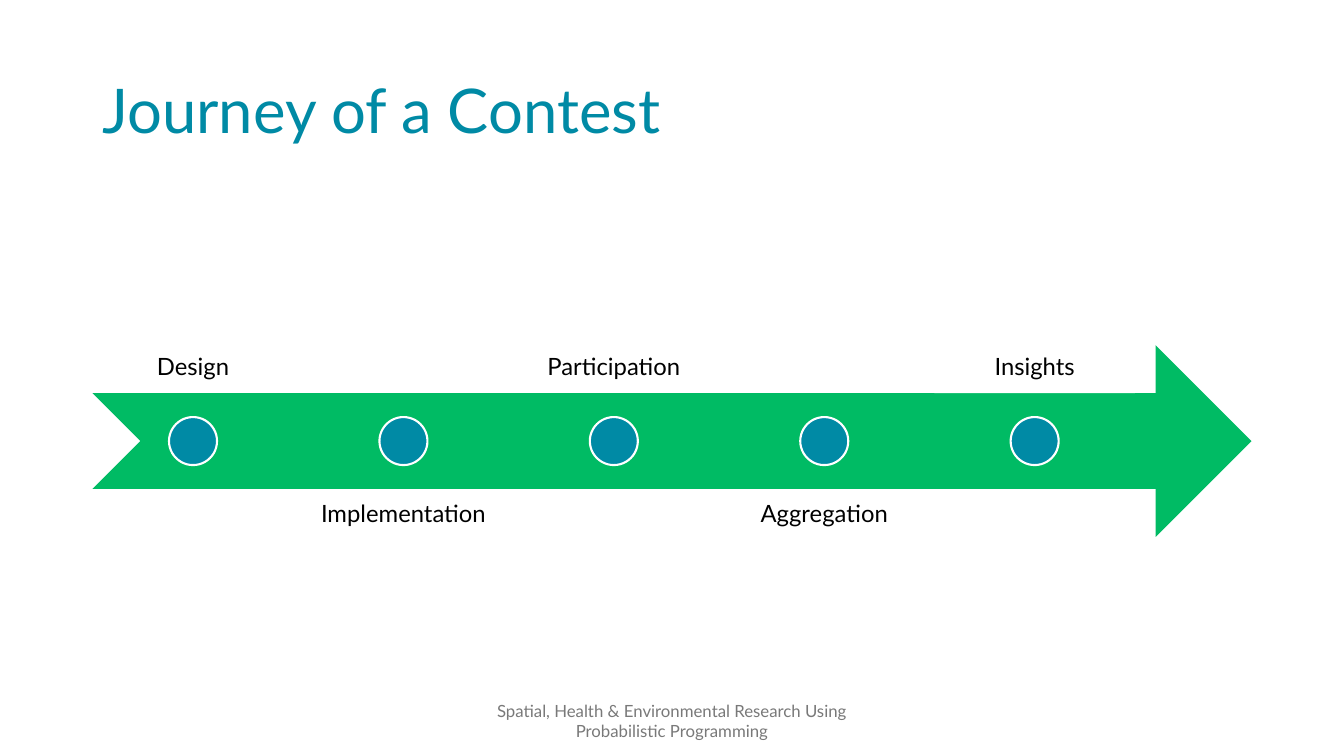
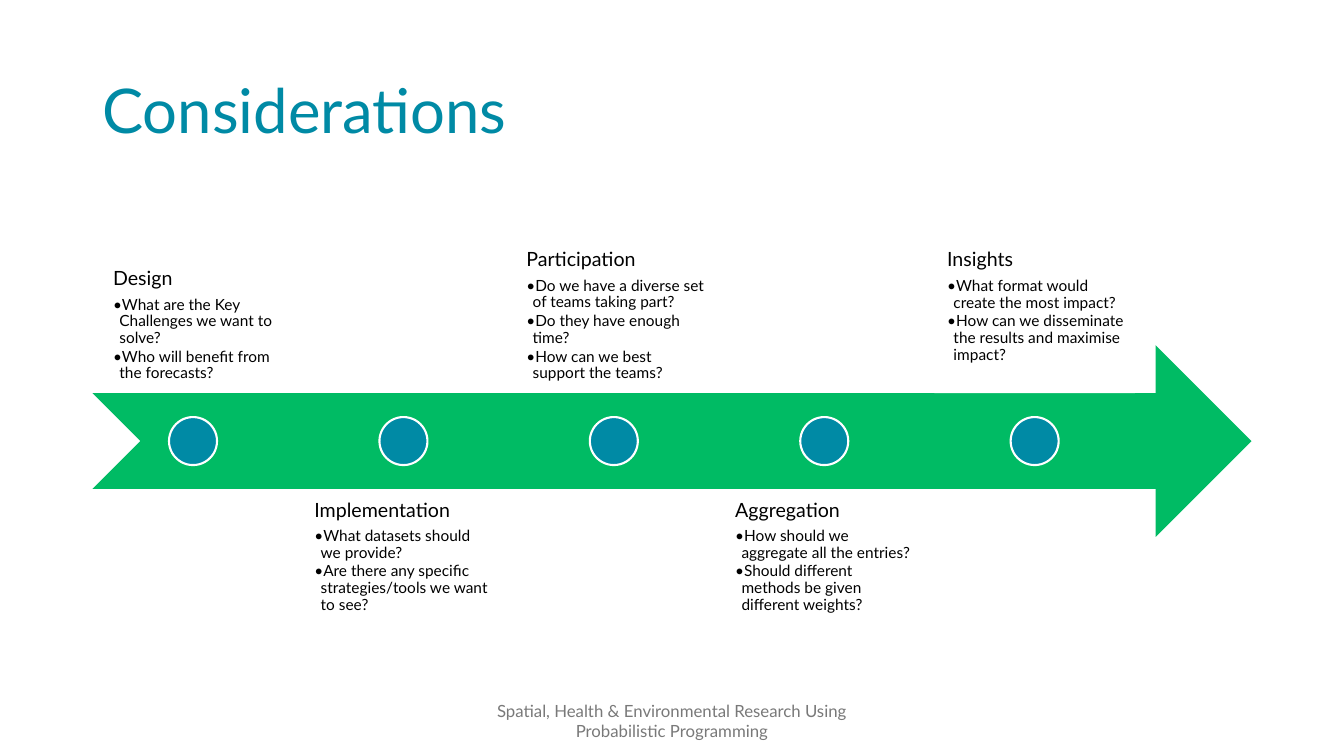
"""Build two timeline slides about the stages of a forecasting contest."""
from dataclasses import dataclass

from lxml.etree import SubElement
from pptx import Presentation
from pptx.dml.color import RGBColor
from pptx.enum.shapes import MSO_SHAPE as SHAPE
from pptx.enum.text import MSO_ANCHOR as ANCHOR, PP_ALIGN as ALIGN
from pptx.oxml.ns import qn
from pptx.shapes.autoshape import Shape
from pptx.slide import Slide
from pptx.text.text import TextFrame
from pptx.util import Cm, Pt

COLORS = {"teal": "008AA5", "green": "00BB64", "white": "FFFFFF",
          "black": "000000", "grey": "797979"}
FONT = "Lato"
FOOTER = "Spatial, Health & Environmental Research Using Probabilistic Programming"

LEFT, WIDTH = 2.33, 29.21
ARROW_TOP, ARROW_H = 8.7, 4.83
MIDDLE = ARROW_TOP + ARROW_H / 2
LABEL_LEFT, LABEL_W, LABEL_H = 2.34, 5.05, 4.83
PITCH = LABEL_W * 1.05
DOT = 1.21


@dataclass(frozen=True)
class Stage:
    name: str
    questions: tuple[str, ...] = ()
    shift: float = 0
    lift: float = 0
    panel: bool = False


@dataclass(frozen=True)
class LabelStyle:
    size: int
    inset: float
    align: ALIGN


@dataclass(frozen=True)
class Timeline:
    title: str
    style: LabelStyle
    stages: tuple[Stage, ...]


TIMELINES = (
    Timeline("Journey of a Contest", LabelStyle(17, 0.34, ALIGN.CENTER), (
        Stage("Design"), Stage("Implementation"), Stage("Participation"),
        Stage("Aggregation"), Stage("Insights", panel=True))),
    Timeline("Considerations", LabelStyle(14, 0.28, ALIGN.LEFT), (
        Stage("Design", ("What are the Key Challenges we want to solve?",
                         "Who will benefit from the forecasts?"), shift=0.23),
        Stage("Implementation", ("What datasets should we provide?",
                                 "Are there any specific strategies/tools we want to see?")),
        Stage("Participation", ("Do we have a diverse set of teams taking part?",
                                "Do they have enough time?",
                                "How can we best support the teams?"), shift=0.04),
        Stage("Aggregation", ("How should we aggregate all the entries?",
                              "Should different methods be given different weights?")),
        Stage("Insights", ("What format would create the most impact?",
                           "How can we disseminate the results and maximise impact?"),
              shift=0.04, lift=0.47, panel=True))),
)


def rgb(name: str) -> RGBColor:
    return RGBColor.from_string(COLORS[name])


def add_text_frame(s: Slide, x: float, y: float, w: float, h: float,
                   anchor: ANCHOR) -> TextFrame:
    tf = s.shapes.add_textbox(Cm(x), Cm(y), Cm(w), Cm(h)).text_frame
    tf.word_wrap = True
    tf.vertical_anchor = anchor
    return tf


def write(tf: TextFrame, text: str, size: int, color: str, align: ALIGN = ALIGN.LEFT,
          spacing: float = 0.9, after: float = 0, bullet: bool = False) -> None:
    p = tf.add_paragraph() if tf.text else tf.paragraphs[0]
    p.text = text
    p.alignment = align
    p.line_spacing = spacing
    p.space_after = Pt(after)
    for r in p.runs:
        r.font.name = FONT
        r.font.size = Pt(size)
        r.font.color.rgb = rgb(color)
    if bullet:
        p.level = 1
        props = p._p.get_or_add_pPr()
        props.set("marL", str(Cm(0.16)))
        props.set("indent", str(Cm(-0.16)))
        SubElement(props, qn("a:buFont"), typeface=FONT)
        SubElement(props, qn("a:buChar"), char="•")


def add_figure(s: Slide, kind: SHAPE, x: float, y: float, w: float, h: float,
               fill: str) -> Shape:
    sp = s.shapes.add_shape(kind, Cm(x), Cm(y), Cm(w), Cm(h))
    sp.shadow.inherit = False
    sp.fill.solid()
    sp.fill.fore_color.rgb = rgb(fill)
    sp.line.fill.background()
    return sp


def add_label(s: Slide, stage: Stage, style: LabelStyle, x: float, above: bool) -> None:
    gap = ARROW_H / 4
    y = MIDDLE - gap - LABEL_H if above else MIDDLE + gap
    if stage.panel:
        add_figure(s, SHAPE.RECTANGLE, x, y, LABEL_W, LABEL_H, "white")
    tf = add_text_frame(s, x, y, LABEL_W, LABEL_H, ANCHOR.BOTTOM if above else ANCHOR.TOP)
    tf.margin_top = Cm(style.inset)
    tf.margin_left = Cm(style.inset + stage.shift)
    tf.margin_right = Cm(style.inset - stage.shift)
    tf.margin_bottom = Cm(style.inset + stage.lift)
    write(tf, stage.name, style.size, "black", style.align, after=5)
    for question in stage.questions:
        write(tf, question, 11, "black", after=1.5, bullet=True)


def add_dot(s: Slide, center: float) -> None:
    sp = add_figure(s, SHAPE.OVAL, center - DOT / 2, MIDDLE - DOT / 2, DOT, DOT, "teal")
    sp.line.color.rgb = rgb("white")
    sp.line.width = Pt(1.5)


def add_timeline(s: Slide, timeline: Timeline) -> None:
    title = add_text_frame(s, LEFT, 1.01, WIDTH, 3.68, ANCHOR.MIDDLE)
    write(title, timeline.title, 44, "teal")
    add_figure(s, SHAPE.NOTCHED_RIGHT_ARROW, LEFT, ARROW_TOP, WIDTH, ARROW_H, "green")
    for i, stage in enumerate(timeline.stages):
        x = LABEL_LEFT + i * PITCH
        add_label(s, stage, timeline.style, x, above=i % 2 == 0)
        add_dot(s, x + LABEL_W / 2)
    footer = add_text_frame(s, 11.22, 17.65, 11.43, 1.01, ANCHOR.MIDDLE)
    write(footer, FOOTER, 12, "grey", ALIGN.CENTER, spacing=1.0)


def main() -> None:
    prs = Presentation()
    prs.slide_width, prs.slide_height = Cm(33.87), Cm(19.05)
    for timeline in TIMELINES:
        add_timeline(prs.slides.add_slide(prs.slide_layouts[6]), timeline)
    prs.save("out.pptx")


if __name__ == "__main__":
    main()
